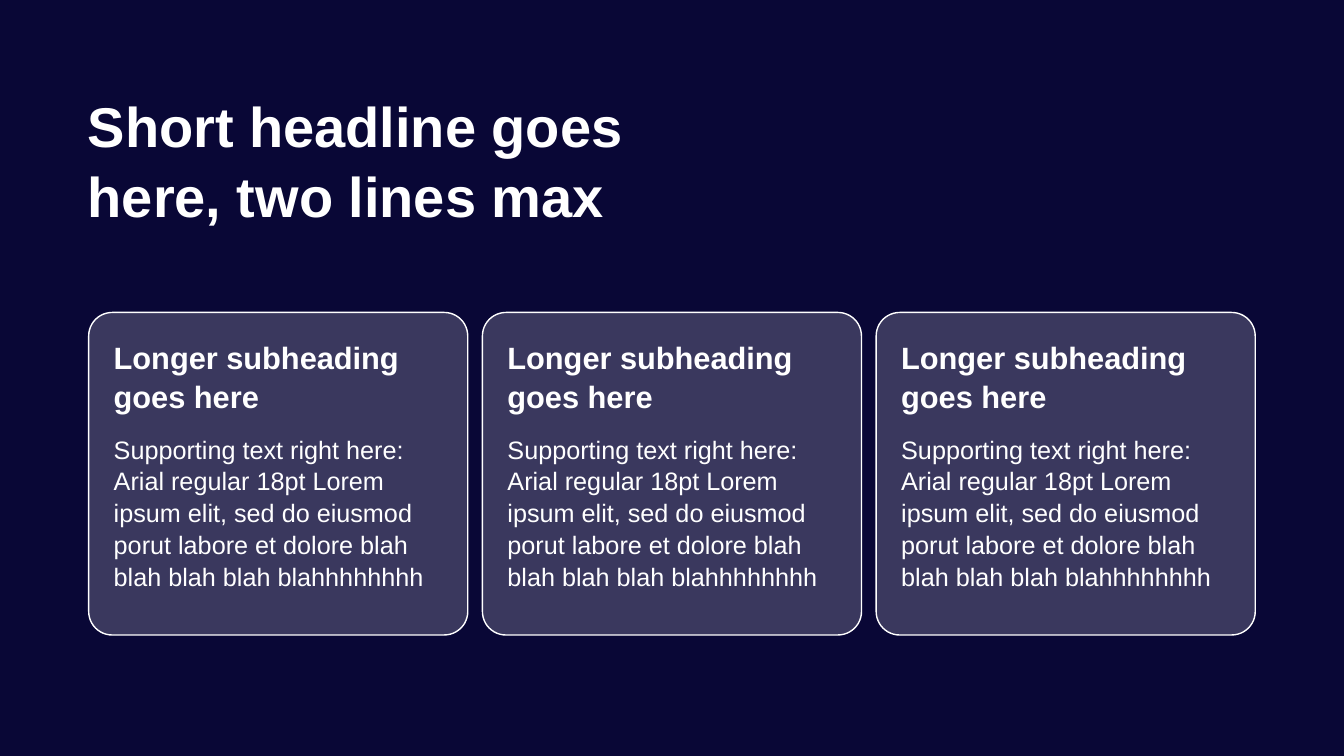
from lxml import etree
from pptx import Presentation
from pptx.dml.color import RGBColor
from pptx.enum.shapes import MSO_SHAPE
from pptx.enum.text import MSO_ANCHOR, MSO_AUTO_SIZE, PP_ALIGN
from pptx.oxml.ns import qn
from pptx.util import Inches, Pt

NAVY = RGBColor(0x09, 0x07, 0x36)
WHITE = RGBColor(0xFF, 0xFF, 0xFF)
ROUNDED = MSO_SHAPE.ROUNDED_RECTANGLE
TOP, BOTTOM = MSO_ANCHOR.TOP, MSO_ANCHOR.BOTTOM
NO_FIT = MSO_AUTO_SIZE.NONE
LEFT = PP_ALIGN.LEFT

HEADLINE = "Short headline goes here, two lines max"
SUBHEADING = "Longer subheading goes here"
SUPPORTING = ("Supporting text right here: Arial regular 18pt Lorem ipsum elit, "
              "sed do eiusmod porut labore et dolore blah blah blah blah blahhhhhhhh")
CARDS = [(SUBHEADING, SUPPORTING)] * 3
CARD_LEFT, CARD_TOP, CARD_WIDTH, CARD_HEIGHT = 0.88, 3.1, 3.76, 3.2
CARD_STEP = 3.905
TEXT_INDENT, TEXT_WIDTH = 0.15, 3.47


def write(frame, text, size, bold=False, anchor=TOP):
    frame.word_wrap = True
    frame.auto_size = NO_FIT
    frame.vertical_anchor = anchor
    paragraph = frame.paragraphs[0]
    paragraph.alignment = LEFT
    paragraph.line_spacing = 1.05
    paragraph.space_before = Pt(0)
    run = paragraph.add_run()
    run.text = text
    run.font.name = "Arial"
    run.font.size = Pt(size)
    run.font.bold = bold
    run.font.color.rgb = WHITE


prs = Presentation()
prs.slide_width, prs.slide_height = Inches(13.33), Inches(7.5)
slide = prs.slides.add_slide(prs.slide_layouts[5])
slide.background.fill.solid()
slide.background.fill.fore_color.rgb = NAVY

headline = slide.shapes.title
headline.left, headline.top = Inches(0.8), Inches(0.8)
headline.width, headline.height = Inches(6.77), Inches(1.75)
headline.text_frame.margin_left = headline.text_frame.margin_top = Inches(0.07)
write(headline.text_frame, HEADLINE, 40, bold=True)

for index, (subheading, supporting) in enumerate(CARDS):
    left = CARD_LEFT + index * CARD_STEP
    card = slide.shapes.add_shape(ROUNDED, Inches(left), Inches(CARD_TOP),
                                  Inches(CARD_WIDTH), Inches(CARD_HEIGHT))
    card.shadow.inherit = False
    card.adjustments[0] = 0.073
    card.fill.solid()
    card.fill.fore_color.rgb = WHITE
    card.line.color.rgb = WHITE
    card.line.width = Pt(1)
    fill_color = card.fill._xPr.find(qn("a:solidFill"))[0]
    etree.SubElement(fill_color, qn("a:alpha"), val="20000")

    text_left = Inches(left + TEXT_INDENT)
    subheading_box = slide.shapes.add_textbox(text_left, Inches(3.34),
                                              Inches(TEXT_WIDTH), Inches(0.82))
    write(subheading_box.text_frame, subheading, 22, bold=True, anchor=BOTTOM)
    supporting_box = slide.shapes.add_textbox(text_left, Inches(4.24),
                                              Inches(TEXT_WIDTH), Inches(1.8))
    write(supporting_box.text_frame, supporting, 18)

prs.save("out.pptx")
